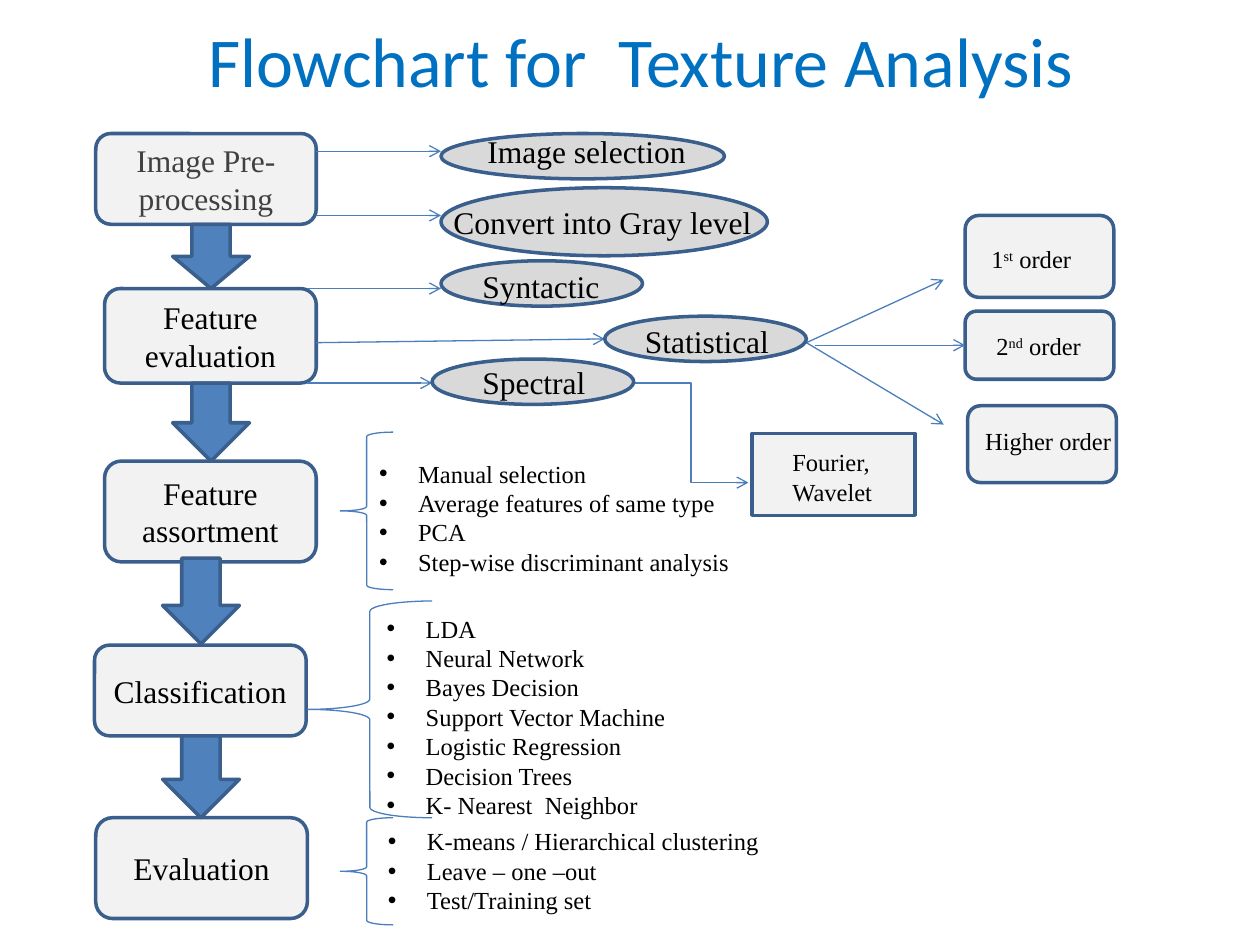
"""Build the texture analysis flowchart slide."""
from lxml import etree
from pptx import Presentation
from pptx.dml.color import RGBColor
from pptx.enum import shapes, text
from pptx.oxml import ns
from pptx.util import Inches, Pt

COLORS = {
    "title": "0070C0", "text": "000000", "muted": "404040", "step": "F2F2F2",
    "method": "D9D9D9", "flow": "4F81BD", "outline": "3A5F8C", "link": "4B7EBC",
}
SERIF = "Times New Roman"
KIND = shapes.MSO_SHAPE
LINK = shapes.MSO_CONNECTOR

prs = Presentation()
prs.slide_width, prs.slide_height = Inches(10), Inches(7.5)
slide = prs.slides.add_slide(prs.slide_layouts[6])


def draw(kind, box, fill=None, outline="outline", weight=2):
    part = slide.shapes.add_shape(kind, *map(Inches, box))
    part.shadow.inherit = False
    if fill:
        part.fill.solid()
        part.fill.fore_color.rgb = RGBColor.from_string(COLORS[fill])
    else:
        part.fill.background()
    part.line.color.rgb = RGBColor.from_string(COLORS[outline])
    part.line.width = Pt(weight)
    return part


def write(target, lines, size, color="text", font=SERIF, align=text.PP_ALIGN.LEFT, bullets=False):
    if isinstance(target, tuple):
        target = slide.shapes.add_textbox(*map(Inches, target))
    frame = target.text_frame
    frame.word_wrap = True
    for i, line in enumerate(lines):
        paragraph = frame.add_paragraph() if i else frame.paragraphs[0]
        paragraph.alignment = align
        paragraph.font.size = Pt(size)
        paragraph.font.name = font
        paragraph.font.color.rgb = RGBColor.from_string(COLORS[color])
        for j, piece in enumerate(line.split("^")):
            run = paragraph.add_run()
            run.text = piece
            if j == 1:
                run.font._element.set("baseline", "30000")
        if bullets:
            props = paragraph._p.get_or_add_pPr()
            props.set("marL", str(Inches(0.31)))
            props.set("indent", str(-Inches(0.31)))
            bullet_font = etree.Element(ns.qn("a:buFont"), typeface="Arial")
            bullet = etree.Element(ns.qn("a:buChar"), char="•")
            props.insert(0, bullet_font)
            bullet_font.addnext(bullet)


steps = [
    ("Image Pre-processing", (0.76, 1.06, 1.75, 0.72), "muted"),
    ("Feature evaluation", (0.83, 2.29, 1.68, 0.75), "text"),
    ("Feature assortment", (0.83, 3.66, 1.68, 0.8), "text"),
    ("Classification", (0.75, 5.12, 1.68, 0.72), "text"),
    ("Evaluation", (0.76, 6.49, 1.68, 0.8), "text"),
]
for label, box, color in steps:
    step = draw(KIND.ROUNDED_RECTANGLE, box, "step")
    step.text_frame.vertical_anchor = text.MSO_ANCHOR.MIDDLE
    write(step, [label], 18, color, align=text.PP_ALIGN.CENTER)

orders = [
    ("1^st^ order", (7.66, 1.71, 1.18, 0.65), (7.77, 1.89, 1.07, 0.33)),
    ("2^nd^ order", (7.66, 2.47, 1.18, 0.54), (7.81, 2.58, 1.03, 0.34)),
    ("Higher order", (7.68, 3.22, 1.18, 0.61), (7.72, 3.33, 1.2, 0.34)),
]
order_boxes = []
for label, box, label_box in orders:
    order_boxes.append(draw(KIND.ROUNDED_RECTANGLE, box, "step"))
    write(label_box, [label], 14)

draw(KIND.RECTANGLE, (5.97, 3.44, 1.29, 0.65), "step")
write((6.19, 3.5, 1.04, 0.57), ["Fourier,", "Wavelet"], 14)

links = [
    (LINK.STRAIGHT, 2.51, 1.2, 3.5, 1.2, None),
    (LINK.STRAIGHT, 2.51, 1.71, 3.5, 1.71, None),
    (LINK.STRAIGHT, 2.44, 2.29, 3.5, 2.29, None),
    (LINK.STRAIGHT, 2.51, 2.72, 4.8, 2.69, None),
    (LINK.STRAIGHT, 2.44, 3.04, 3.43, 3.04, None),
    (LINK.STRAIGHT, 6.4, 2.72, 7.49, 2.22, None),
    (LINK.STRAIGHT, 6.47, 2.74, 7.66, 2.74, order_boxes[1]),
    (LINK.STRAIGHT, 6.4, 2.72, 7.49, 3.37, None),
    (LINK.ELBOW, 5.03, 3.04, 5.94, 3.83, None),
]
for kind, *ends, target in links:
    link = slide.shapes.add_connector(kind, *map(Inches, ends))
    if target:
        link.end_connect(target, 1)
    link.line.color.rgb = RGBColor.from_string(COLORS["link"])
    link.line.width = Pt(0.75)
    etree.SubElement(link.line._get_or_add_ln(), ns.qn("a:tailEnd"), type="arrow")
    etree.SubElement(link._element.spPr, ns.qn("a:effectLst"))

flow_arrows = [(1.37, 1.78, 0.51), (1.37, 3.04, 0.62), (1.29, 4.43, 0.68), (1.29, 5.84, 0.65)]
for left, top, height in flow_arrows:
    draw(KIND.DOWN_ARROW, (left, top, 0.61, height), "flow")

methods = [
    ("Image selection", (3.5, 1.06, 2.25, 0.36), (3.77, 1, 1.98, 0.4)),
    ("Convert into Gray level", (3.5, 1.49, 2.59, 0.54), (3.5, 1.56, 2.77, 0.4)),
    ("Syntactic", (3.5, 2.07, 1.6, 0.36), (3.73, 2.07, 1.3, 0.4)),
    ("Statistical", (4.8, 2.51, 1.6, 0.36), (5.02, 2.51, 1.3, 0.4)),
    ("Spectral", (3.43, 2.85, 1.6, 0.36), (3.73, 2.83, 1.14, 0.4)),
]
for label, box, label_box in methods:
    draw(KIND.OVAL, box, "method")
    write(label_box, [label], 18)

details = [
    ((2.7, 3.43, 0.42, 1.25), (2.91, 3.59, 3.18, 1.28),
     ["Manual selection", "Average features of same type", "PCA",
      "Step-wise discriminant analysis"]),
    ((2.44, 4.77, 0.99, 1.72), (2.97, 4.82, 3.55, 1.75),
     ["LDA", "Neural Network", "Bayes Decision", "Support Vector Machine",
      "Logistic Regression", "Decision Trees", "K- Nearest  Neighbor"]),
    ((2.7, 6.49, 0.42, 0.85), (2.98, 6.51, 3.72, 0.81),
     ["K-means / Hierarchical clustering", "Leave – one –out", "Test/Training set"]),
]
for brace, list_box, items in details:
    write(list_box, items, 14, bullets=True)
    draw(KIND.LEFT_BRACE, brace, outline="link", weight=0.75)

write((0.17, 0.09, 9.83, 0.77), ["Flowchart for  Texture Analysis"], 40, "title",
      "Calibri", text.PP_ALIGN.CENTER)

prs.save("out.pptx")
